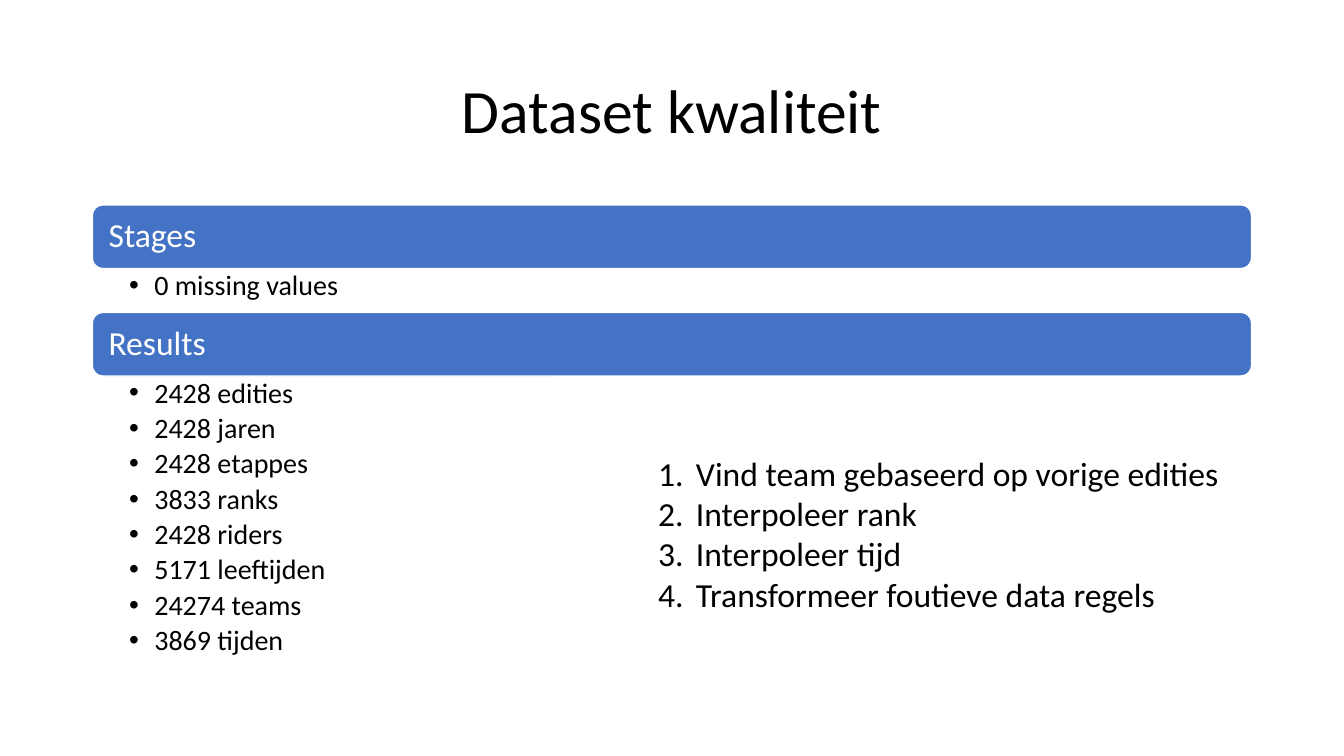
from lxml.etree import SubElement
from pptx import Presentation
from pptx.dml.color import RGBColor
from pptx.enum.shapes import MSO_SHAPE as SHAPE
from pptx.enum.text import MSO_ANCHOR as ANCHOR, MSO_AUTO_SIZE as AUTO, PP_ALIGN as ALIGN
from pptx.oxml.ns import qn
from pptx.util import Pt


def rgb(value):
    return RGBColor.from_string(value)


def write(tf, lines, size=20, color="000000", font="Calibri", align=ALIGN.LEFT,
          spacing=0.9, after=0, indent=0, marker=None):
    for i, line in enumerate(lines):
        p = tf.paragraphs[0] if i == 0 else tf.add_paragraph()
        p.alignment = align
        p.line_spacing = spacing
        p.space_after = Pt(after)
        if marker:
            tag, attrs = marker
            pPr = p._p.get_or_add_pPr()
            pPr.set("marL", str(Pt(indent)))
            pPr.set("indent", str(-Pt(indent)))
            SubElement(pPr, qn("a:buFont"), typeface="Arial" if tag == "a:buChar" else "+mj-lt")
            SubElement(pPr, qn(tag), attrs)
        r = p.add_run()
        r.text = line
        r.font.size = Pt(size)
        r.font.name = font
        r.font.color.rgb = rgb(color)


class Deck:
    accent = "4472C4"
    white = "FFFFFF"
    bullet = ("a:buChar", {"char": "•"})
    number = ("a:buAutoNum", {"type": "arabicPeriod"})

    def __init__(self, prs):
        self.s = prs.slides.add_slide(prs.slide_layouts[6])

    def frame(self, sp, anchor, insets):
        tf = sp.text_frame
        tf.word_wrap = True
        tf.vertical_anchor = anchor
        tf.margin_left, tf.margin_top, tf.margin_right, tf.margin_bottom = map(Pt, insets)
        return tf

    def text(self, box, lines, anchor=ANCHOR.TOP, insets=(7.2, 3.6, 7.2, 3.6), grow=False, **fmt):
        sp = self.s.shapes.add_textbox(*map(Pt, box))
        tf = self.frame(sp, anchor, insets)
        if grow:
            tf.auto_size = AUTO.SHAPE_TO_FIT_TEXT
        write(tf, lines, **fmt)

    def bar(self, box, label):
        sp = self.s.shapes.add_shape(SHAPE.ROUNDED_RECTANGLE, *map(Pt, box))
        sp.shadow.inherit = False
        sp.fill.solid()
        sp.fill.fore_color.rgb = rgb(self.accent)
        sp.line.color.rgb = rgb(self.white)
        sp.line.width = Pt(1)
        tf = self.frame(sp, ANCHOR.MIDDLE, (9.4, 7.2, 9.4, 7.2))
        write(tf, [label], size=24, color=self.white)

    def section(self, left, top, width, label, items, height):
        bar_height = 45.4
        self.bar((left, top, width, bar_height), label)
        top += bar_height
        self.text((left, top, width, height), items, insets=(26.3, 2, 11.5, 2),
                  after=3.65, indent=18, marker=self.bullet)
        return top + height


def main():
    prs = Presentation()
    prs.slide_width, prs.slide_height = Pt(960), Pt(540)
    deck = Deck(prs)
    left, width = 66, 828

    deck.text((left, 28.8, width, 104.4), ["Dataset kwaliteit"], anchor=ANCHOR.MIDDLE,
              size=44, align=ALIGN.CENTER)

    sections = [
        ("Stages", 31.4, ["0 missing values"]),
        ("Results", 215.3, ["2428 edities", "2428 jaren", "2428 etappes", "3833 ranks",
                            "2428 riders", "5171 leeftijden", "24274 teams", "3869 tijden"]),
    ]
    top = 146.4
    for label, height, items in sections:
        top = deck.section(left, top, width, label, items, height)

    steps = ["Vind team gebaseerd op vorige edities", "Interpoleer rank",
             "Interpoleer tijd", "Transformeer foutieve data regels"]
    deck.text((463, 319.7, 431, 123.8), steps, grow=True, size=24, spacing=1.0,
              indent=27, marker=deck.number)
    prs.save("out.pptx")


if __name__ == "__main__":
    main()
